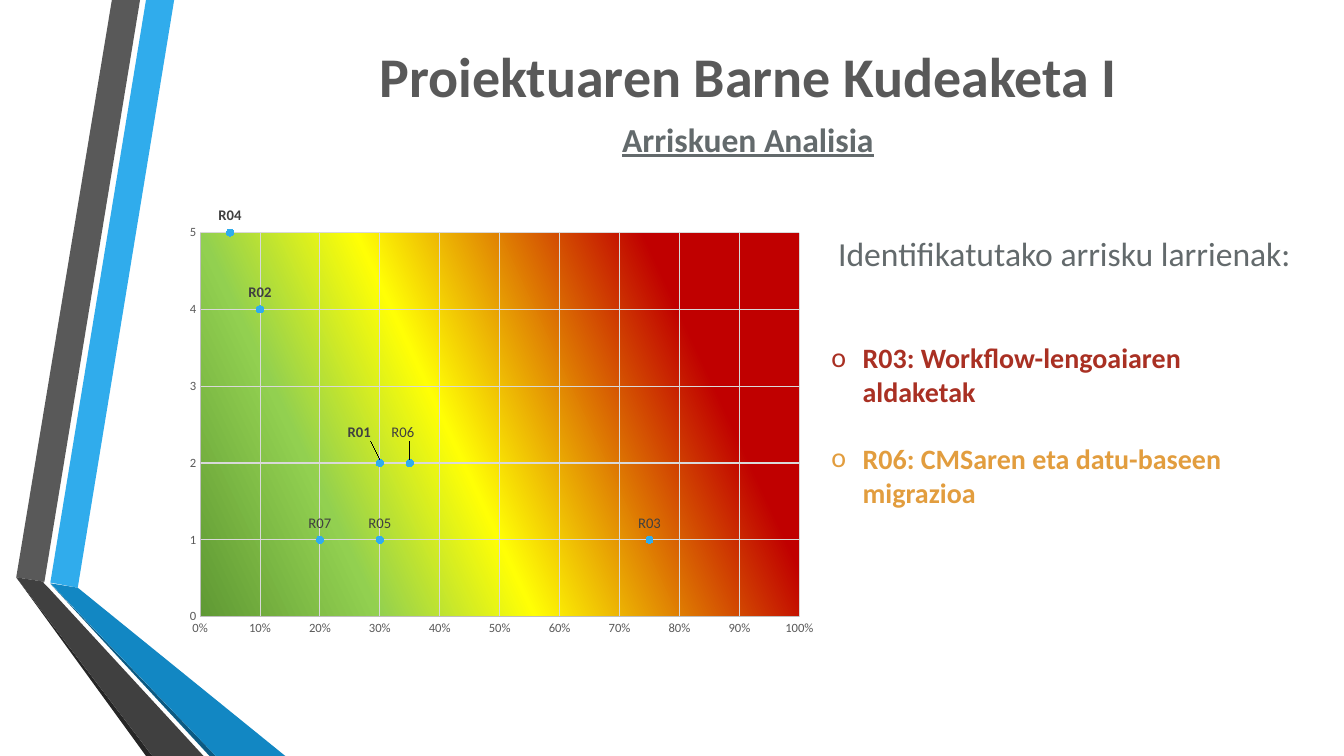
from lxml import etree
from pptx import Presentation
from pptx.chart.data import XyChartData
from pptx.dml.color import RGBColor
from pptx.enum.chart import XL_CHART_TYPE, XL_LABEL_POSITION, XL_MARKER_STYLE, XL_TICK_MARK
from pptx.enum.text import MSO_ANCHOR, PP_ALIGN
from pptx.oxml import parse_xml
from pptx.oxml.ns import nsdecls, qn
from pptx.util import Cm, Pt

SCATTER = XL_CHART_TYPE.XY_SCATTER
ABOVE = XL_LABEL_POSITION.ABOVE
CIRCLE = XL_MARKER_STYLE.CIRCLE
NO_TICK = XL_TICK_MARK.NONE
MIDDLE, TOP = MSO_ANCHOR.MIDDLE, MSO_ANCHOR.TOP
CENTER, LEFT = PP_ALIGN.CENTER, PP_ALIGN.LEFT
FONT = "Calibri"
COLORS = {
    "blue": "30ACEC", "blue_side": "1287C3", "blue_edge": "0C5A82",
    "gray": "595959", "gray_side": "404040", "gray_edge": "262626",
    "text": "636A6C", "label": "404040", "axis": "BFBFBF", "grid": "D9D9D9",
    "severe": "A93023", "serious": "E29D3E",
}
RIBBONS = [
    ("blue", [(1.27, 14.68), (1.96, 14.81), (4.39, 0), (3.68, 0)]),
    ("gray", [(3.53, 0), (2.82, 0), (0.41, 14.55), (1.12, 14.66)]),
    ("gray_edge", [(0.41, 14.55), (3.68, 19.05), (3.84, 19.05)]),
    ("blue_edge", [(1.27, 14.71), (5.28, 19.05), (5.44, 19.05)]),
    ("blue_side", [(1.27, 14.7), (5.44, 19.05), (7.19, 19.05), (1.96, 14.81)]),
    ("gray_side", [(5.13, 19.05), (1.22, 14.81), (1.09, 14.68), (1.12, 14.66),
                   (0.41, 14.55), (3.84, 19.05)]),
]
RISKS = [
    ("R01", 0.3, 2, True, (-0.03, -0.03)),
    ("R02", 0.1, 4, True, None),
    ("R03", 0.75, 1, False, None),
    ("R04", 0.05, 5, True, None),
    ("R05", 0.3, 1, False, None),
    ("R06", 0.35, 2, False, (-0.01, -0.03)),
    ("R07", 0.2, 1, False, None),
]
HEAT = [(20, "C00000"), (57, "FFFF05"), (77, "92D050"), (100, "5F9934")]
HEAT_ANGLE = 155
WORST_RISKS = [
    ("R03: Workflow-lengoaiaren aldaketak", "severe"),
    ("R06: CMSaren eta datu-baseen migrazioa", "serious"),
]


def rgb(name):
    """Return the named colour."""
    return RGBColor.from_string(COLORS[name])


def style_font(font, size, color, bold=False):
    """Set typeface, size, colour and weight."""
    font.name, font.size, font.bold = FONT, Pt(size), bold
    font.color.rgb = rgb(color)


def place(shape, box):
    """Move a shape into a box given in centimetres."""
    shape.left, shape.top, shape.width, shape.height = (Cm(side) for side in box)


def write_line(shape, text, size, color, bold=False):
    """Write one centred line in the middle of a text shape."""
    frame = shape.text_frame
    frame.word_wrap = True
    frame.vertical_anchor = MIDDLE
    para = frame.paragraphs[0]
    para.text = text
    para.alignment = CENTER
    style_font(para.font, size, color, bold)
    return para


def add_ribbons(page, left, top):
    """Draw the folded ribbons from the given corner."""
    for color, points in RIBBONS:
        corners = [(Cm(left + x), Cm(top + y)) for x, y in points]
        builder = page.shapes.build_freeform(*corners[0], scale=1.0)
        builder.add_line_segments(corners[1:], close=True)
        ribbon = builder.convert_to_shape()
        ribbon.shadow.inherit = False
        ribbon.fill.solid()
        ribbon.fill.fore_color.rgb = rgb(color)
        ribbon.line.fill.background()


def add_headings(page, box):
    """Place the title in the box and the subtitle below its centre."""
    left, top, width, height = box
    title = page.shapes.title
    place(title, box)
    write_line(title, "Proiektuaren Barne Kudeaketa I", 40, "gray", True)
    subtitle = page.shapes.add_textbox(0, 0, 0, 0)
    place(subtitle, (left + width / 2 - 3.77, top + 2.1, 7.54, 2.5))
    para = write_line(subtitle, "Arriskuen Analisia", 24, "text", True)
    para.font.underline = True


def manual_layout(**values):
    """Build a chart layout element from its settings."""
    layout = parse_xml(f"<c:layout {nsdecls('c')}/>")
    manual = etree.SubElement(layout, qn("c:manualLayout"))
    for tag, value in values.items():
        etree.SubElement(manual, qn(f"c:{tag}")).set("val", str(value))
    return layout


def format_axis(axis, maximum, step, number_format):
    """Set the scale, grid and tick labels of an axis."""
    axis.minimum_scale, axis.maximum_scale, axis.major_unit = 0, maximum, step
    axis.major_tick_mark = axis.minor_tick_mark = NO_TICK
    axis.has_major_gridlines = True
    for line, color in ((axis.format.line, "axis"), (axis.major_gridlines.format.line, "grid")):
        line.color.rgb = rgb(color)
        line.width = Pt(0.75)
    labels = axis.tick_labels
    labels.number_format = number_format
    labels.number_format_is_linked = False
    style_font(labels.font, 9, "gray")


def format_plot_area(chart):
    """Fix the inner plot area and give it the heat gradient."""
    area = chart._chartSpace.chart.plotArea
    for layout in area.findall(qn("c:layout")):
        area.remove(layout)
    area.insert(0, manual_layout(layoutTarget="inner", xMode="edge", yMode="edge",
                                 x=0.068, y=0.102, w=0.868, h=0.814))
    stops = "".join(f'<a:gs pos="{position * 1000}"><a:srgbClr val="{color}"/></a:gs>'
                    for position, color in HEAT)
    area.append(parse_xml(
        f"<c:spPr {nsdecls('c', 'a')}><a:gradFill><a:gsLst>{stops}</a:gsLst>"
        f'<a:lin ang="{HEAT_ANGLE * 60000}" scaled="0"/></a:gradFill>'
        "<a:ln><a:noFill/></a:ln></c:spPr>"))


def add_risk_chart(page, box):
    """Plot probability against impact for every risk."""
    data = XyChartData()
    risks = data.add_series("Arriskuak")
    for _, chance, impact, _, _ in RISKS:
        risks.add_data_point(chance, impact)
    chart = page.shapes.add_chart(SCATTER, *(Cm(side) for side in box), data).chart
    chart.has_legend = chart.has_title = False
    style_font(chart.font, 10, "gray")
    format_axis(chart.category_axis, 1, 0.1, "0%")
    format_axis(chart.value_axis, 5, 1, "0")
    format_plot_area(chart)
    plot = chart.plots[0]
    plot.vary_by_categories = False
    series = plot.series[0]
    series.format.line.fill.background()
    marker = series.marker
    marker.style, marker.size = CIRCLE, 5
    marker.format.fill.solid()
    marker.format.fill.fore_color.rgb = rgb("blue")
    marker.format.line.color.rgb = rgb("blue")
    for index, (name, _, _, bold, offset) in enumerate(RISKS):
        label = series.points[index].data_label
        span = label.text_frame.paragraphs[0].add_run()
        span.text = name
        style_font(span.font, 10.5, "label", bold)
        label.position = ABOVE
        if offset:
            element = label._dLbl
            element.insert(1, manual_layout(x=offset[0], y=offset[1]))


def add_worst_risks(page, box):
    """Place the lead line and the bulleted worst risks in a column."""
    left, top, width, height = box
    lead = page.shapes.add_textbox(0, 0, 0, 0)
    place(lead, (left, top, width, 3.33))
    write_line(lead, "Identifikatutako arrisku larrienak:", 24, "text")
    column = page.shapes.add_textbox(0, 0, 0, 0)
    place(column, (left + 0.25, top + 3.76, width - 0.64, height - 3.76))
    frame = column.text_frame
    frame.word_wrap = True
    frame.vertical_anchor = TOP
    for index, (text, color) in enumerate(WORST_RISKS):
        para = frame.add_paragraph() if index else frame.paragraphs[0]
        para.text = text
        para.alignment = LEFT
        if index:
            para.space_before = Pt(24)
        properties = para._p.get_or_add_pPr()
        properties.set("marL", str(Cm(0.79)))
        properties.set("indent", str(-Cm(0.79)))
        etree.SubElement(properties, qn("a:buFont")).set("typeface", FONT)
        etree.SubElement(properties, qn("a:buChar")).set("char", "o")
        style_font(para.font, 20, color, True)


def main():
    """Build and save the deck."""
    deck = Presentation()
    deck.slide_width, deck.slide_height = Cm(33.87), Cm(19.05)
    page = deck.slides.add_slide(deck.slide_layouts[5])
    add_ribbons(page, 0, 0)
    add_headings(page, (4.98, 0.15, 27.74, 3.5))
    add_risk_chart(page, (3.86, 4.65, 17.4, 11.89))
    add_worst_risks(page, (20.45, 4.7, 12.75, 10.59))
    deck.save("out.pptx")


if __name__ == "__main__":
    main()
